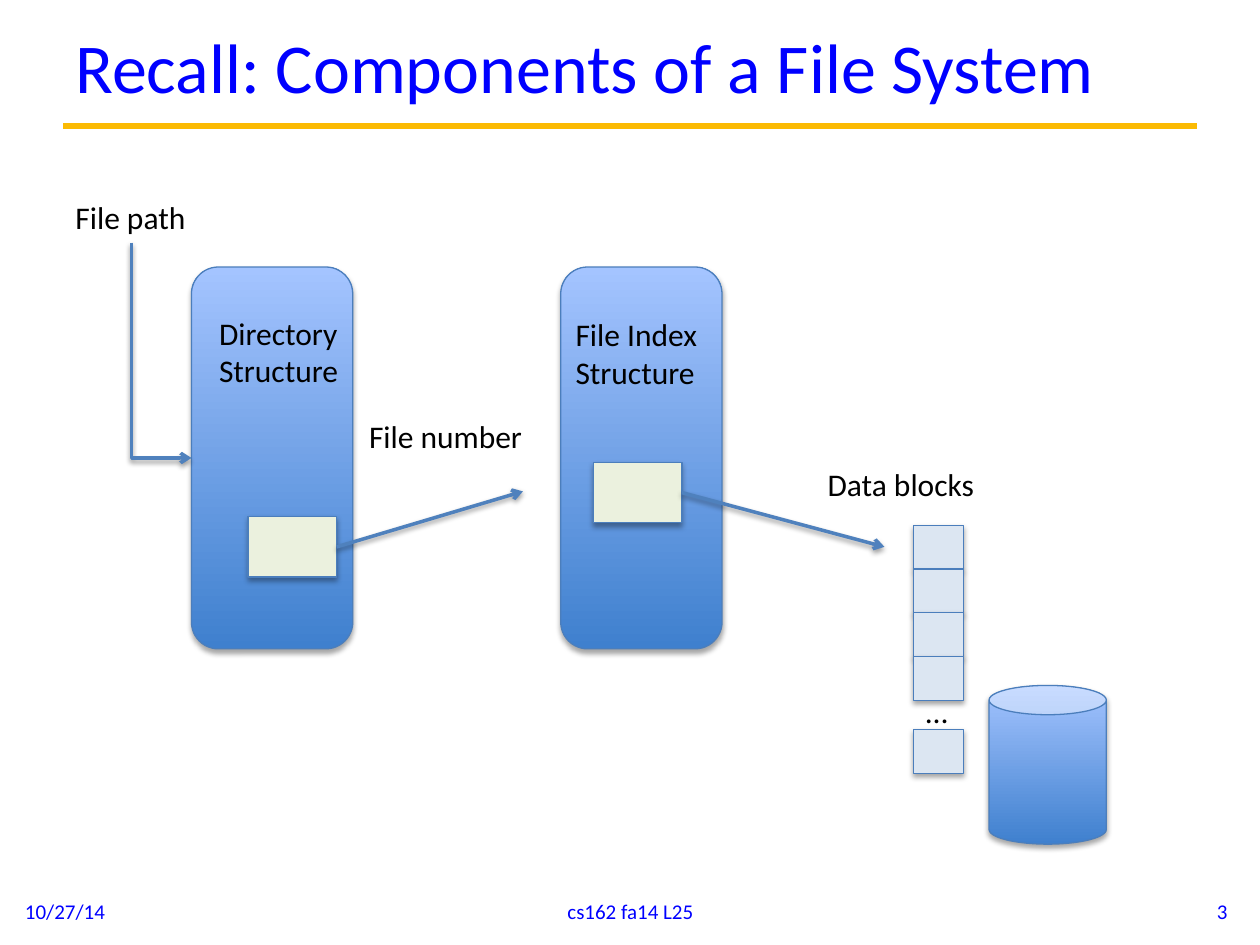
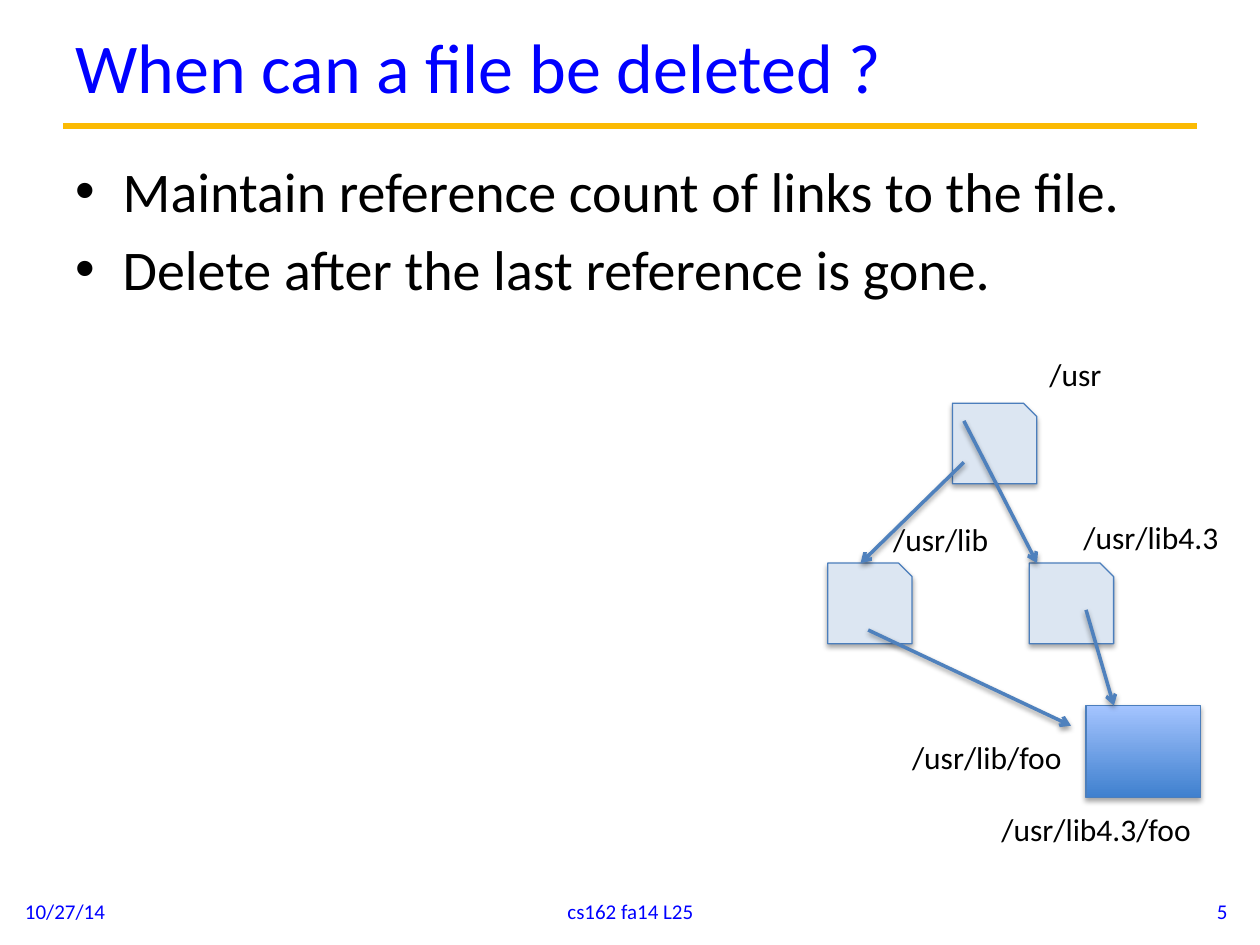
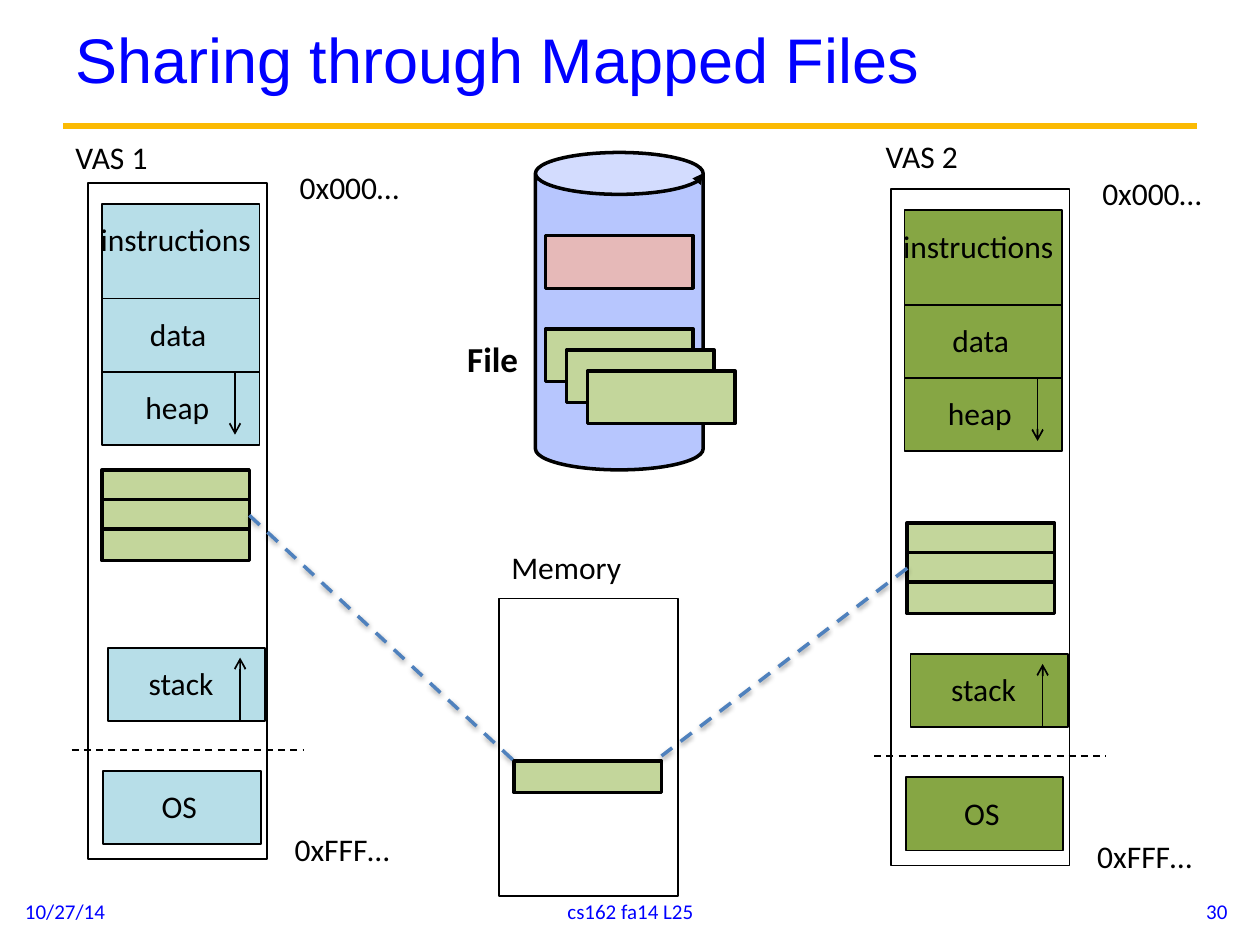
from lxml.etree import SubElement
from pptx import Presentation
from pptx.dml.color import RGBColor
from pptx.enum.dml import MSO_LINE
from pptx.enum.shapes import MSO_CONNECTOR, MSO_SHAPE
from pptx.enum.text import MSO_ANCHOR, MSO_AUTO_SIZE, PP_ALIGN
from pptx.oxml.ns import qn
from pptx.util import Pt

RECT, ROUNDED = MSO_SHAPE.RECTANGLE, MSO_SHAPE.ROUNDED_RECTANGLE
CAN, SNIPPED = MSO_SHAPE.CAN, MSO_SHAPE.SNIP_1_RECTANGLE
STRAIGHT, ELBOW = MSO_CONNECTOR.STRAIGHT, MSO_CONNECTOR.ELBOW
DASH = MSO_LINE.DASH
LEFT, CENTER, RIGHT = PP_ALIGN.LEFT, PP_ALIGN.CENTER, PP_ALIGN.RIGHT
TOP, MIDDLE = MSO_ANCHOR.TOP, MSO_ANCHOR.MIDDLE
BOTTOM_SITE, LEFT_SITE, RIGHT_SITE = 2, 1, 3

COLORS = {
    "blue": "0000FF", "black": "000000", "gold": "FBBA03",
    "edge": "4B7EBC", "arrow": "4F81BD",
    "dark": "3F80CE", "light": "A4C4FF",
    "entry": "EBF1DE", "block": "DCE6F2",
    "disk": "B7C6FE", "pink": "E6B9B8", "page": "C3D69B",
    "vas1": "B7DEE8", "vas2": "86A644",
}
STYLES = {
    "title": ({"name": "Calibri", "size": Pt(40)}, "blue"),
    "arial title": ({"name": "Arial", "size": Pt(36)}, "blue"),
    "body": ({"name": "Calibri", "size": Pt(32)}, "black"),
    "label": ({"name": "Calibri", "size": Pt(18)}, "black"),
    "bold": ({"name": "Calibri", "size": Pt(20), "bold": True}, "black"),
    "footer": ({"name": "Calibri", "size": Pt(12)}, "blue"),
}
TITLE_BOX = (36, 2.9, 648, 69.1)


def rgb(name):
    return RGBColor.from_string(COLORS[name])


# Text
def add_text(page, box, lines, style, align=LEFT, anchor=TOP, wrap=True, bullet=False):
    shape = page.shapes.add_textbox(*map(Pt, box))
    frame = shape.text_frame
    frame.word_wrap, frame.vertical_anchor = wrap, anchor
    if not wrap:
        frame.auto_size = MSO_AUTO_SIZE.SHAPE_TO_FIT_TEXT
    formats, color = STYLES[style]
    for index, line in enumerate(lines):
        para = frame.paragraphs[0] if index == 0 else frame.add_paragraph()
        para.alignment = align
        if index and bullet:
            para.space_before = Pt(6.4)
        if bullet:
            props = para._p.get_or_add_pPr()
            props.set("marL", str(Pt(27)))
            props.set("indent", str(-Pt(27)))
            SubElement(props, qn("a:buFont")).set("typeface", "Arial")
            SubElement(props, qn("a:buChar")).set("char", "•")
        span = para.add_run()
        span.text = line
        for key, value in formats.items():
            setattr(span.font, key, value)
        span.font.color.rgb = rgb(color)
    return shape


def add_label(page, x, y, width, *lines, style="label"):
    size = STYLES[style][0]["size"].pt
    height = 7.2 + size * 1.2 * len(lines)
    return add_text(page, (x, y, width, height), lines, style, wrap=False)


# Shapes and lines
def add_shadow(effects, alpha, distance):
    shadow = SubElement(effects, qn("a:outerShdw"), blurRad=str(Pt(3.1)),
                        dist=str(Pt(distance)), dir="5400000", rotWithShape="0")
    color = SubElement(shadow, qn("a:srgbClr"), val=COLORS["black"])
    SubElement(color, qn("a:alpha"), val=str(alpha * 1000))


def add_head(line, end, kind):
    SubElement(line._get_or_add_ln(), qn(f"a:{end}"), type=kind)


def add_outlined(page, kind, box, fill=None, line="black", weight=1.0):
    shape = page.shapes.add_shape(kind, *map(Pt, box))
    shape.shadow.inherit = False
    if fill == "gradient":
        shape.fill.gradient()
        shape.fill.gradient_angle = 90
        for stop, name in zip(shape.fill.gradient_stops, ("dark", "light")):
            stop.color.rgb = rgb(name)
    elif fill:
        shape.fill.solid()
        shape.fill.fore_color.rgb = rgb(fill)
    else:
        shape.fill.background()
    shape.line.color.rgb = rgb(line)
    shape.line.width = Pt(weight)
    return shape


def add_raised(page, kind, box, fill="gradient"):
    shape = add_outlined(page, kind, box, fill, "edge", 0.75)
    add_shadow(shape._element.spPr.find(qn("a:effectLst")), 35, 1.8)
    return shape


def style_line(line, color, weight, dash=None, arrow=True, shadow=False):
    line.line.color.rgb = rgb(color)
    line.line.width = Pt(weight)
    if dash:
        line.line.dash_style = dash
    if arrow:
        add_head(line.line, "tailEnd", "arrow")
    effects = SubElement(line._element.spPr, qn("a:effectLst"))
    if shadow:
        add_shadow(effects, 38, 1.6)


def add_line(page, start, end, color="black", weight=1, **options):
    line = page.shapes.add_connector(STRAIGHT, *map(Pt, (*start, *end)))
    style_line(line, color, weight, **options)
    return line


def add_link(page, start, end, **options):
    return add_line(page, start, end, "arrow", 2, shadow=True, **options)


def add_elbow(page, source, target):
    """Run down from the source, then right into the target's left side."""
    x, y = source.left + source.width // 2, source.top + source.height
    across = target.left - x
    down = target.top + target.height // 2 - y
    line = page.shapes.add_connector(ELBOW, x, y, x + across, y + down)
    line.begin_connect(source, BOTTOM_SITE)
    line.end_connect(target, LEFT_SITE)
    # The bend is a flipped corner turned a quarter about its centre
    line.left, line.top = x + (across - down) // 2, y + (down - across) // 2
    line.width, line.height = down, across
    props = line._element.spPr
    props.xfrm.set("rot", "16200000")
    props.xfrm.set("flipH", "1")
    props.find(qn("a:prstGeom")).set("prst", "bentConnector2")
    style_line(line, "arrow", 2, shadow=True)


# Frame shared by all slides
def add_page(deck, title, number, style="title", title_box=TITLE_BOX):
    page = deck.slides.add_slide(deck.slide_layouts[6])
    add_line(page, (36, 72), (684, 72), "gold", 3.75, arrow=False)
    add_text(page, title_box, [title], style, anchor=MIDDLE)
    footers = ((7.2, 167.8, "10/27/14", LEFT),
               (246.2, 228.2, "cs162 fa14 L25", CENTER),
               (540.7, 167.8, number, RIGHT))
    for x, width, text, align in footers:
        add_text(page, (x, 506.2, width, 28.8), [text], "footer", align, MIDDLE)
    return page


# Slide: components
def build_components(deck):
    page = add_page(deck, "Recall: Components of a File System", "3")
    directory, _ = [add_raised(page, ROUNDED, (x, 152.6, 92.2, 218.2))
                    for x in (109.4, 320.4)]
    add_label(page, 118.1, 175.7, 83.5, "Directory", "Structure")
    add_label(page, 321.8, 176.4, 85, "File Index", "Structure")
    file_path = add_label(page, 36, 109.8, 78.5, "File path")
    add_elbow(page, file_path, directory)

    # Entries and the links that leave them
    for x, y, end in ((141.8, 295.2, (298.8, 280.8)), (339.1, 264.2, (505.4, 312.5))):
        entry = add_raised(page, RECT, (x, y, 50.6, 34.6), "entry")
        add_link(page, (x + 50.6, y + 17.3), end).begin_connect(entry, RIGHT_SITE)
    add_label(page, 203.8, 234.7, 103, "File number")
    add_label(page, 465.8, 262.1, 99.4, "Data blocks")

    # Data blocks on disk
    add_raised(page, CAN, (565.2, 391.7, 67, 90.7))
    for y in [300.2 + 25 * i for i in range(4)] + [416.9]:
        add_raised(page, RECT, (522, y, 28.8, 25.2), "block")
    add_label(page, 522, 391.7, 27.4, "…")


# Slide: deletion
def build_deletion(deck):
    page = add_page(deck, "When can a file be deleted ?", "5")
    add_text(page, (36, 85.7, 648, 410.4),
             ["Maintain reference count of links to the file.",
              "Delete after the last reference is gone."], "body", bullet=True)
    add_raised(page, RECT, (620.6, 403.2, 65.5, 52.6))
    for x, y in ((544.3, 230.4), (588.2, 321.8), (473, 321.8)):
        add_raised(page, SNIPPED, (x, y, 48.2, 46.1), "block")
    for start, end in (((550.8, 240.5), (592.6, 321.8)),
                       ((620.6, 348.5), (636.5, 403.2)),
                       ((550.8, 264.2), (491.8, 321.8)),
                       ((496.1, 360), (612, 414.7))):
        add_link(page, start, end)
    for x, y, width, name in ((592.6, 199.4, 44.6, "/usr"),
                              (612, 292.3, 92.2, "/usr/lib4.3"),
                              (565.2, 459.4, 124.6, "/usr/lib4.3/foo"),
                              (503.3, 293.8, 69.1, "/usr/lib"),
                              (514.1, 418.3, 101.5, "/usr/lib/foo")):
        add_label(page, x, y, width, name)


# Slide: mapped files
def add_file_page(page, x, y, height=18, fill="page"):
    return add_outlined(page, RECT, (x, y, 84.2, height), fill, weight=2)


def add_address_space(page, left, top, fill):
    add_outlined(page, RECT, (left, top, 102.2, 386.6))
    add_label(page, left + 113.8, top - 12.2, 82.1, "0x000…")
    add_label(page, left + 110.9, top + 366.5, 85, "0xFFF…")
    # Segment: x, y, height, label x, label width
    segments = {"instructions": (7.9, 12.2, 54, 0, 106.6),
                "data": (7.9, 66.2, 41.8, 28.1, 49.7),
                "heap": (7.9, 108, 41.8, 25.6, 54.7),
                "stack": (11.2, 265.7, 41.8, 27.4, 56.9),
                "OS": (8.6, 336.2, 41.8, 34.9, 41)}
    for name, (x, y, height, label_x, label_width) in segments.items():
        add_outlined(page, RECT, (left + x, top + y, 90, height), fill)
        add_label(page, left + label_x, top + y + 5.8, label_width, name)
    for x, start, end in ((86.8, 307.4, 271.4), (83.9, 108, 144)):
        add_line(page, (left + x, top + start), (left + x, top + end))
    add_line(page, (left - 9.4, top + 324), (left + 122.8, top + 324),
             dash=DASH, arrow=False)


def build_mapped_files(deck):
    page = add_page(deck, "Sharing through Mapped Files", "30",
                    "arial title", (36, 12.2, 606.2, 41.8))
    # File on disk
    disk = add_outlined(page, CAN, (306, 87.1, 95.8, 181.4), "disk", weight=2)
    add_head(disk.line, "headEnd", "triangle")
    add_file_page(page, 311.8, 134.6, 30.2, "pink")
    for i in range(3):
        add_file_page(page, 311.8 + 12 * i, 187.9 + 12 * i, 30.2)
    add_label(page, 259.9, 189.4, 43.9, "File", style="bold")

    # Address spaces and physical memory
    add_address_space(page, 50.4, 104.4, "vas1")
    add_address_space(page, 509, 108, "vas2")
    add_label(page, 36, 75.6, 56.9, "VAS 1")
    add_label(page, 499, 74.9, 56.9, "VAS 2")
    add_outlined(page, RECT, (285.1, 342, 102.2, 169.9))
    add_file_page(page, 293.8, 434.9)
    add_label(page, 285.1, 309.6, 77.8, "Memory")

    # Mapped pages, joined to the shared page in memory
    for x, y, side, edge, end in ((58.3, 268.6, RIGHT_SITE, 84.2, (293.8, 434.9)),
                                  (518.4, 298.8, LEFT_SITE, 0, (378, 432))):
        mapped = [add_file_page(page, x, y + 16.9 * i) for i in range(3)]
        link = add_link(page, (x + edge, y + 25.9), end, dash=DASH, arrow=False)
        link.begin_connect(mapped[1], side)


def main():
    deck = Presentation()
    deck.slide_width, deck.slide_height = Pt(720), Pt(540)
    build_components(deck)
    build_deletion(deck)
    build_mapped_files(deck)
    deck.save("out.pptx")


if __name__ == "__main__":
    main()
